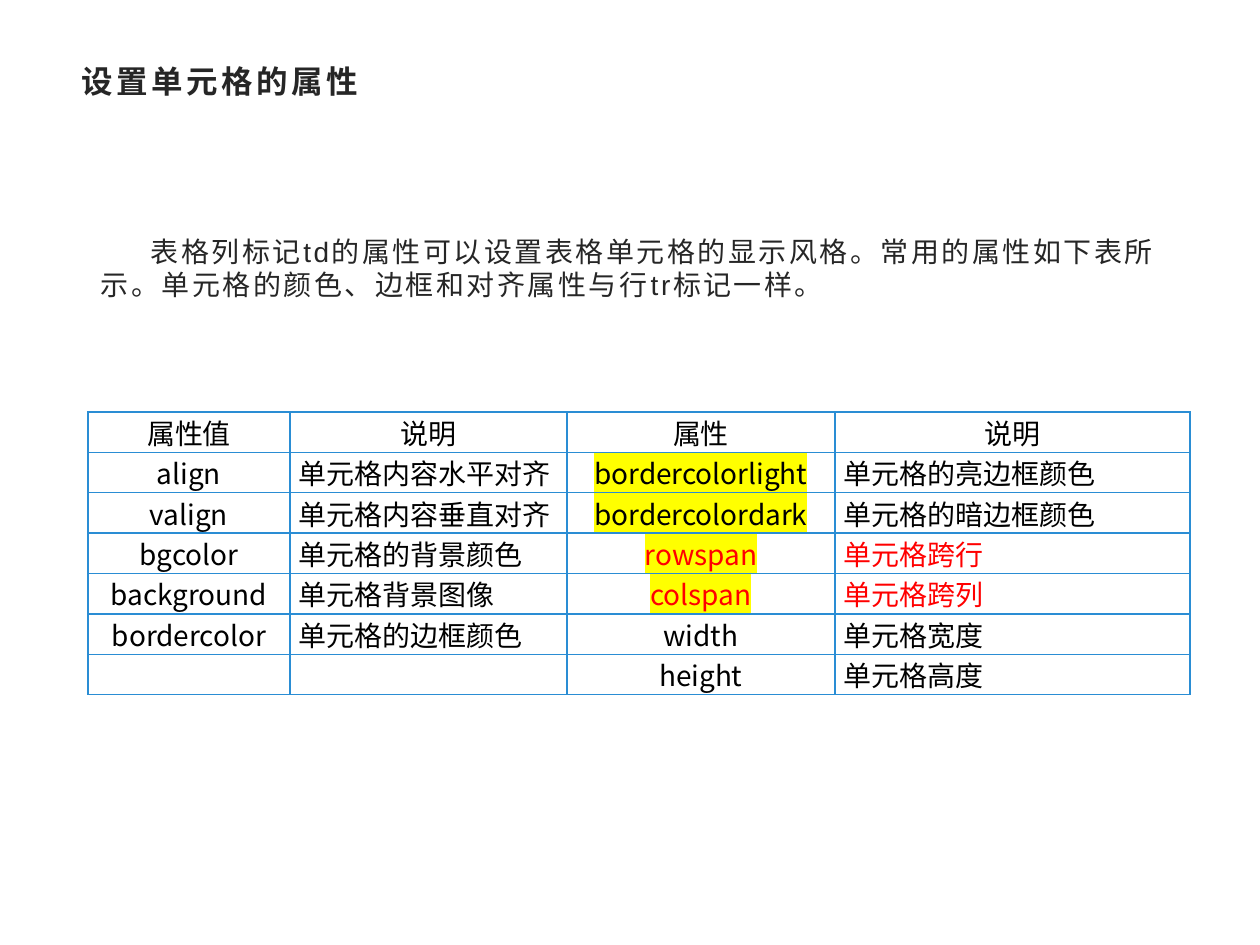
import lxml.etree
import pptx
import pptx.dml.color
import pptx.enum.text
import pptx.oxml.ns
import pptx.util

ALIGN = pptx.enum.text.PP_ALIGN
ANCHOR = pptx.enum.text.MSO_ANCHOR
CJK = "Noto Sans CJK SC"
PX_PER_INCH = 126

INTRO = "表格列标记td的属性可以设置表格单元格的显示风格。常用的属性如下表所示。单元格的颜色、边框和对齐属性与行tr标记一样。"
ROWS = [
    ("属性值", "说明", "属性", "说明"),
    ("align", "单元格内容水平对齐", "bordercolorlight", "单元格的亮边框颜色"),
    ("valign", "单元格内容垂直对齐", "bordercolordark", "单元格的暗边框颜色"),
    ("bgcolor", "单元格的背景颜色", "rowspan", "单元格跨行"),
    ("background", "单元格背景图像", "colspan", "单元格跨列"),
    ("bordercolor", "单元格的边框颜色", "width", "单元格宽度"),
    ("", "", "height", "单元格高度"),
]
MARKED = {"bordercolorlight", "bordercolordark", "rowspan", "colspan"}
RED = {"rowspan", "colspan", "单元格跨行", "单元格跨列"}


def px(n):
    return pptx.util.Emu(round(n * 914400 / PX_PER_INCH))


def color(value):
    return pptx.dml.color.RGBColor.from_string(value)


def add_xml(parent, tag, **attrs):
    return lxml.etree.SubElement(parent, pptx.oxml.ns.qn(tag), attrs)


def set_all(target, values):
    for name, value in values.items():
        setattr(target, name, value)


class Deck:
    """Holds the style and the current slide."""

    ink, black, red = "262626", "000000", "FF0000"
    border, marker = "2A8DD4", "FFFF00"

    def __init__(self, prs):
        self.s = prs.slides.add_slide(prs.slide_layouts[1])

    def run(self, p, text, size, ink, font, bold=False, spacing=0, marker=None):
        r = p.add_run()
        r.text = text
        set_all(r.font, {"size": pptx.util.Pt(size), "bold": bold})
        r.font.color.rgb = color(ink)
        rpr = r._r.get_or_add_rPr()
        if spacing:
            rpr.set("spc", str(spacing))
        if marker:
            add_xml(add_xml(rpr, "a:highlight"), "a:srgbClr", val=marker)
        r.font.name = font
        add_xml(rpr, "a:ea", typeface=CJK)

    def placeholder(self, index, box, frame, paragraph):
        sp = self.s.placeholders[index]
        set_all(sp, dict(zip(("left", "top", "width", "height"), map(px, box))))
        tf = sp.text_frame
        set_all(tf, {"word_wrap": True, "auto_size": pptx.enum.text.MSO_AUTO_SIZE.NONE} | frame)
        p = tf.paragraphs[0]
        set_all(p, {"alignment": ALIGN.LEFT, "space_before": pptx.util.Pt(0)} | paragraph)
        return p

    def title(self, text, box):
        p = self.placeholder(0, box, {"vertical_anchor": ANCHOR.TOP}, {"line_spacing": 0.9})
        self.run(p, text, 18, self.ink, "Arial", bold=True, spacing=200)

    def body(self, text, box, indent):
        frame = {"vertical_anchor": ANCHOR.MIDDLE, "margin_bottom": px(20)}
        p = self.placeholder(1, box, frame, {"line_spacing": 1.0})
        ppr = p._p.get_or_add_pPr()
        set_all_xml = {"marL": "0", "indent": str(px(indent))}
        ppr.attrib.update(set_all_xml)
        add_xml(ppr, "a:buNone")
        self.run(p, text, 16, self.ink, "Arial", spacing=150)

    def cell(self, cell, text, align):
        set_all(cell, {"margin_left": px(9), "margin_right": px(9),
                       "margin_top": 0, "margin_bottom": 0,
                       "vertical_anchor": ANCHOR.MIDDLE})
        tcpr = cell._tc.get_or_add_tcPr()
        for side in "LRTB":
            line = add_xml(tcpr, f"a:ln{side}", w=str(pptx.util.Pt(1)))
            add_xml(add_xml(line, "a:solidFill"), "a:srgbClr", val=self.border)
        cell.fill.background()
        p = cell.text_frame.paragraphs[0]
        p.alignment = align
        self.run(p, text, 16, self.red if text in RED else self.black, CJK,
                 marker=self.marker if text in MARKED else None)

    def table(self, rows, left, top, widths, row_height):
        table = self.s.shapes.add_table(
            len(rows), len(widths), px(left), px(top),
            px(sum(widths)), px(row_height * len(rows))).table
        set_all(table, {"first_row": False, "horz_banding": False})
        for column, width in zip(table.columns, widths):
            column.width = px(width)
        for i, row in enumerate(rows):
            table.rows[i].height = px(row_height)
            for j, text in enumerate(row):
                centred = i == 0 or j % 2 == 0
                self.cell(table.cell(i, j), text, ALIGN.CENTER if centred else ALIGN.JUSTIFY)


def main():
    prs = pptx.Presentation()
    set_all(prs, {"slide_width": px(1260), "slide_height": px(945)})
    deck = Deck(prs)
    deck.title("设置单元格的属性", (69, 60, 1121, 60))
    deck.body(INTRO, (88, 189, 1102, 171), indent=50)
    deck.table(ROWS, 88, 412, (202, 277, 268, 355), 40)
    prs.save("out.pptx")


if __name__ == "__main__":
    main()
